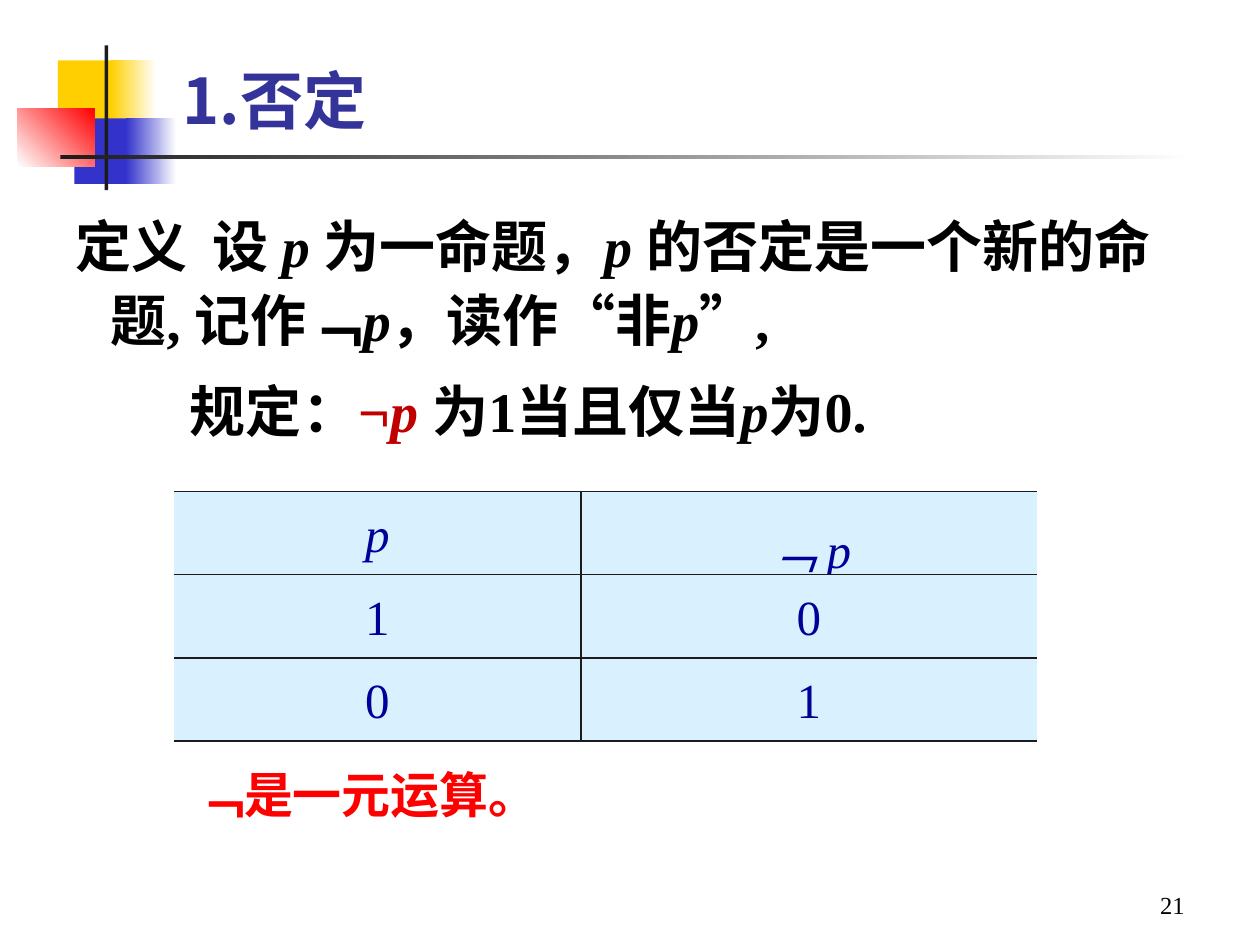
from dataclasses import dataclass

from lxml import etree
from pptx import Presentation
from pptx.dml.color import RGBColor
from pptx.enum.shapes import MSO_SHAPE
from pptx.enum.text import MSO_ANCHOR as Anchor, PP_ALIGN as Align
from pptx.oxml.ns import qn
from pptx.util import Inches, Pt


@dataclass(frozen=True)
class Theme:
    yellow: str = "FFCF01"
    blue: str = "3333CC"
    red: str = "FF0000"
    white: str = "FFFFFF"
    dark: str = "1C1C1C"
    title: str = "333399"
    body: str = "000000"
    accent: str = "C00000"
    cell_text: str = "000099"
    cell_fill: str = "D9F1FF"
    serif: str = "Times New Roman"
    sans: str = "Noto Sans CJK SC"
    title_size: int = 36
    body_size: int = 32
    note_size: int = 28
    number_size: int = 14


THEME = Theme()


def rgb(color):
    return RGBColor.from_string(color)


def add_span(para, text, size=THEME.body_size, color=THEME.body, font=THEME.serif,
             bold=False, italic=False, shadow=False):
    span = para.add_run()
    span.text = text
    span.font.size = Pt(size)
    span.font.bold = bold
    span.font.italic = italic
    span.font.color.rgb = rgb(color)
    span.font.name = font
    props = span.font._element
    props.set("lang", "zh-CN")
    latin = props.find(qn("a:latin"))
    east_asian = etree.Element(qn("a:ea"), typeface=THEME.sans)
    latin.addnext(east_asian)
    if shadow:
        effects = etree.Element(qn("a:effectLst"))
        outer = etree.SubElement(effects, qn("a:outerShdw"), dist="25400", dir="2700000")
        etree.SubElement(outer, qn("a:srgbClr"), val=THEME.body)
        latin.addprevious(effects)
    return span


def add_text_frame(page, box, anchor=Anchor.TOP, wrap=True):
    frame = page.shapes.add_textbox(*map(Inches, box)).text_frame
    frame.word_wrap = wrap
    frame.vertical_anchor = anchor
    return frame


def add_line(page, box, text, align=Align.LEFT, anchor=Anchor.TOP, wrap=True, **style):
    para = add_text_frame(page, box, anchor, wrap).paragraphs[0]
    para.alignment = align
    add_span(para, text, **style)


def add_block(page, box, start, end=None, angle=0):
    """Add a rectangle, solid or fading from start to end."""
    block = page.shapes.add_shape(MSO_SHAPE.RECTANGLE, *map(Inches, box))
    block.shadow.inherit = False
    block.line.fill.background()
    if end is None:
        block.fill.solid()
        block.fill.fore_color.rgb = rgb(start)
        return
    block.fill.gradient()
    block.fill.gradient_angle = angle
    for stop, color in zip(block.fill.gradient_stops, (start, end)):
        stop.color.rgb = rgb(color)


def add_ornament(page, left, top):
    """Add the coloured squares and the two rules behind the title."""
    blocks = [
        ((0.32, 0.12, 0.48, 0.52), THEME.yellow, None, 0),
        ((0.74, 0.12, 0.36, 0.52), THEME.yellow, THEME.white, 0),
        ((0.45, 0.58, 0.46, 0.52), THEME.blue, None, 0),
        ((0.86, 0.58, 0.4, 0.52), THEME.blue, THEME.white, 0),
        ((0, 0.5, 0.61, 0.46), THEME.white, THEME.red, 45),
        ((0.69, 0, 0.03, 1.15), THEME.dark, None, 0),
        ((0.34, 0.87, 9, 0.03), THEME.dark, THEME.white, 0),
    ]
    for (x, y, width, height), start, end, angle in blocks:
        add_block(page, (left + x, top + y, width, height), start, end, angle)


def add_definition(page, box):
    variable = {"italic": True}
    negation = {"italic": True, "color": THEME.accent}
    paragraphs = [
        (0.28, -0.28, [
            ("定义  设 ", {}), ("p ", variable), ("为一命题，", {}), ("p ", variable),
            ("的否定是一个新的命题, 记作﹁", {}), ("p", variable), ("，读作", {}),
            ("“", {"font": "Arial"}), ("非", {}), ("p", variable),
            ("”", {"font": "Arial"}), (",", {}),
        ]),
        (0.91, 0, [
            ("规定：", {}), ("¬", {"color": THEME.accent}), ("p ", negation),
            ("为1当且仅当", {}), ("p", variable), ("为0.", {}),
        ]),
    ]
    frame = add_text_frame(page, box)
    for index, (margin, indent, spans) in enumerate(paragraphs):
        para = frame.add_paragraph() if index else frame.paragraphs[0]
        para.line_spacing = 1.1
        para.space_before = Pt(0.3 * THEME.body_size)
        props = para._p.get_or_add_pPr()
        props.set("marL", str(Inches(margin)))
        props.set("indent", str(Inches(indent)))
        for text, style in spans:
            add_span(para, text, bold=True, **style)


def set_borders(cell, visible):
    """Draw the sides named in visible and clear the others."""
    props = cell._tc.get_or_add_tcPr()
    for index, side in enumerate("LRTB"):
        line = etree.Element(qn(f"a:ln{side}"), w=str(Pt(1)))
        if side in visible:
            fill = etree.SubElement(line, qn("a:solidFill"))
            etree.SubElement(fill, qn("a:srgbClr"), val=THEME.dark)
        else:
            etree.SubElement(line, qn("a:noFill"))
        props.insert(index, line)


def add_truth_table(page, box, rows, widths):
    table = page.shapes.add_table(len(rows), len(widths), *map(Inches, box)).table
    table.first_row = table.horz_banding = False
    for column, width in zip(table.columns, widths):
        column.width = Inches(width)
    for row_index, row in enumerate(rows):
        table.rows[row_index].height = Inches(box[3] / len(rows))
        for column_index, text in enumerate(row):
            cell = table.cell(row_index, column_index)
            cell.fill.solid()
            cell.fill.fore_color.rgb = rgb(THEME.cell_fill)
            set_borders(cell, "LTB" if column_index else "RTB")
            para = cell.text_frame.paragraphs[0]
            para.alignment = Align.CENTER
            para.line_spacing = 1.2
            para.space_before = Pt(0.2 * THEME.note_size)
            add_span(para, text, size=THEME.note_size, color=THEME.cell_text,
                     italic=row_index == 0)


def build_slide(deck):
    page = deck.slides.add_slide(deck.slide_layouts[6])
    add_ornament(page, 0.14, 0.36)
    add_line(page, (1.35, -0.11, 9, 1.25), "1.否定", anchor=Anchor.BOTTOM, bold=True,
             size=THEME.title_size, color=THEME.title, font=THEME.sans, shadow=True)
    add_definition(page, (0.5, 1.58, 8.84, 4.95))
    add_truth_table(page, (1.38, 3.9, 6.85, 1.98),
                    [("p", "﹁ p"), ("1", "0"), ("0", "1")], (3.23, 3.62))
    add_line(page, (7.17, 6.83, 2.33, 0.52), "21", align=Align.RIGHT,
             anchor=Anchor.BOTTOM, size=THEME.number_size)
    add_line(page, (1.45, 6.02, 3.72, 0.57), "﹁是一元运算。", wrap=False, bold=True,
             size=THEME.note_size, color=THEME.red, font=THEME.sans)


def main():
    deck = Presentation()
    deck.slide_width, deck.slide_height = Inches(10), Inches(7.5)
    build_slide(deck)
    deck.save("out.pptx")


if __name__ == "__main__":
    main()
